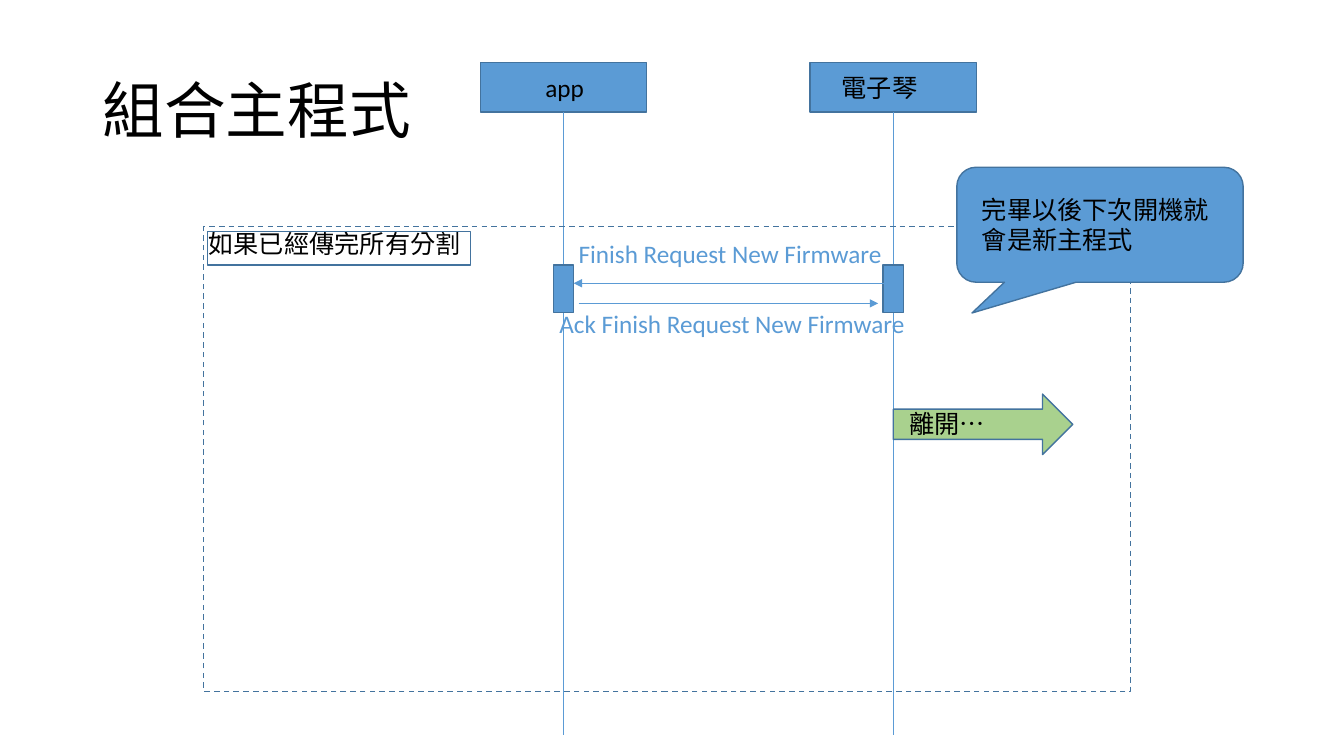
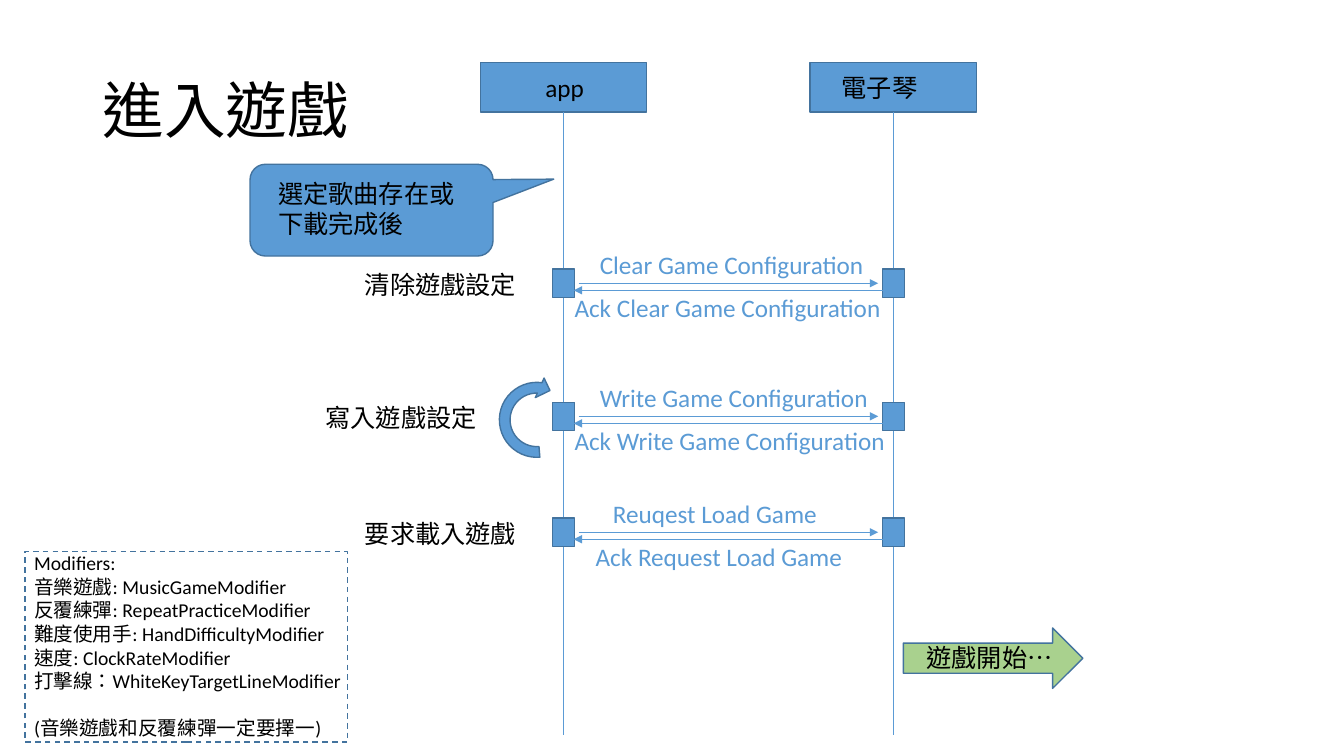
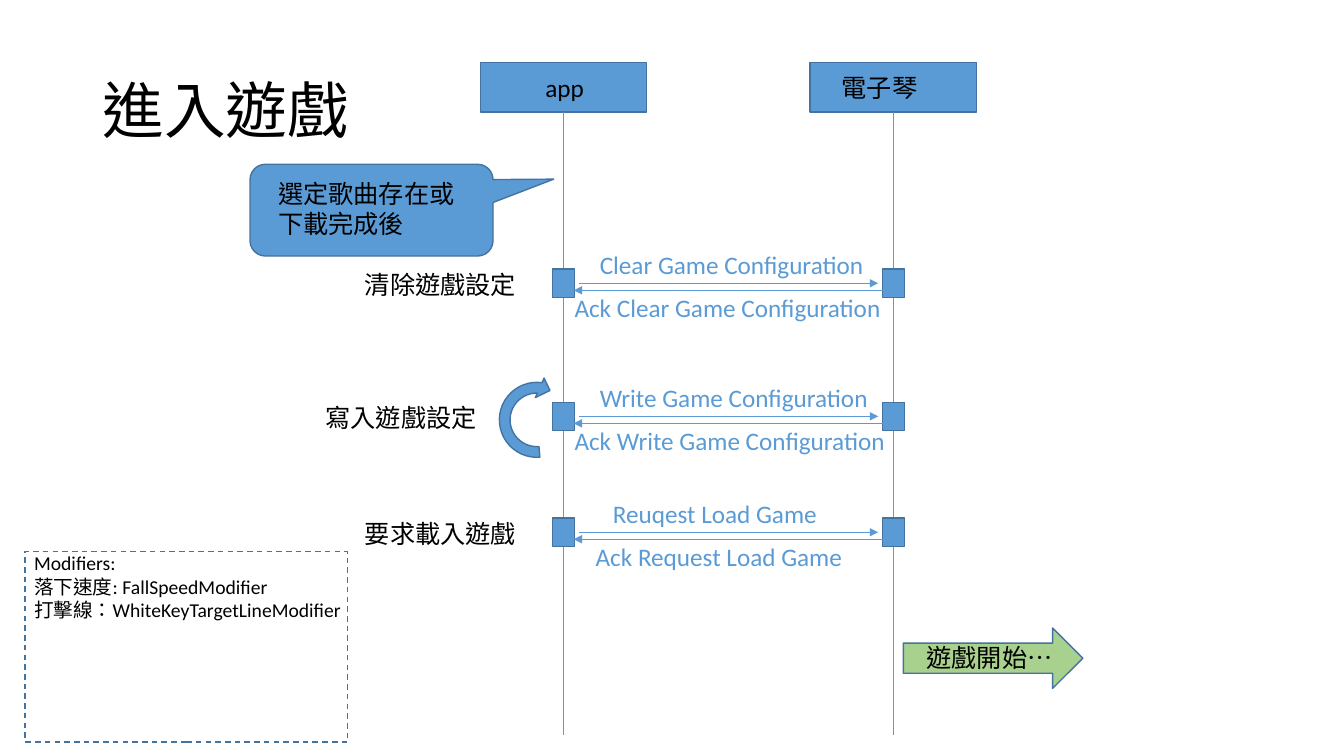
import dataclasses

import pptx
import pptx.dml.color
import pptx.enum.dml
import pptx.enum.lang
import pptx.enum.shapes
import pptx.enum.text
import pptx.oxml
import pptx.oxml.ns
import pptx.util

Inches = pptx.util.Inches
SHAPES = pptx.enum.shapes.MSO_SHAPE


@dataclasses.dataclass(frozen=True)
class Theme:
    # Colours
    blue: str = "5B9BD5"
    outline: str = "43739E"
    green: str = "A9D18E"
    black: str = "000000"
    # Type
    font: str = "Calibri"
    title_size: int = 44
    body_size: int = 18
    note_size: int = 14
    # Lines
    border: float = 1
    thin: float = 0.5


# Centres of the two lifelines, and where they end
APP_X, PIANO_X = 5.59, 8.86
HEAD_TOP, HEAD_WIDTH, HEAD_HEIGHT = 0.62, 1.65, 0.49
LIFELINE_END = 7.29


def rgb(code):
    return pptx.dml.color.RGBColor.from_string(code)


class SequenceDeck:
    def __init__(self, theme):
        self.theme = theme
        self.deck = pptx.Presentation()
        self.deck.slide_width = Inches(13.33)
        self.deck.slide_height = Inches(7.5)
        self.slide = None

    # Basic elements
    def text(self, lines, left, top, width, height=0.4, size=None, color=None):
        """Add a text box with one paragraph for each line."""
        box = self.slide.shapes.add_textbox(
            Inches(left), Inches(top), Inches(width), Inches(height))
        frame = box.text_frame
        frame.word_wrap = True
        frame.auto_size = pptx.enum.text.MSO_AUTO_SIZE.SHAPE_TO_FIT_TEXT
        for index, line in enumerate(lines):
            paragraph = frame.paragraphs[0] if index == 0 else frame.add_paragraph()
            run = paragraph.add_run()
            run.text = line
            run.font.name = self.theme.font
            run.font.size = pptx.util.Pt(size or self.theme.body_size)
            run.font.color.rgb = rgb(color or self.theme.black)
            run.font.language_id = pptx.enum.lang.MSO_LANGUAGE_ID.TRADITIONAL_CHINESE
        return frame

    def shape(self, kind, left, top, width, height, fill=None, dashed=False,
              adjustments=()):
        shape = self.slide.shapes.add_shape(
            kind, Inches(left), Inches(top), Inches(width), Inches(height))
        shape.shadow.inherit = False
        if fill:
            shape.fill.solid()
            shape.fill.fore_color.rgb = rgb(fill)
        else:
            shape.fill.background()
        shape.line.color.rgb = rgb(self.theme.outline)
        shape.line.width = pptx.util.Pt(self.theme.border)
        if dashed:
            shape.line.dash_style = pptx.enum.dml.MSO_LINE.DASH
        for index, value in enumerate(adjustments):
            shape.adjustments[index] = value
        return shape

    def line(self, start, end, arrow=False):
        line = self.slide.shapes.add_connector(
            pptx.enum.shapes.MSO_CONNECTOR.STRAIGHT,
            *(Inches(value) for value in (*start, *end)))
        line.line.color.rgb = rgb(self.theme.blue)
        line.line.width = pptx.util.Pt(self.theme.thin)
        properties = line._element.spPr
        if arrow:
            tail = pptx.oxml.parse_xml(
                f'<a:tailEnd {pptx.oxml.ns.nsdecls("a")} type="triangle"/>')
            properties.find(pptx.oxml.ns.qn("a:ln")).append(tail)
        properties.append(pptx.oxml.parse_xml(
            f'<a:effectLst {pptx.oxml.ns.nsdecls("a")}/>'))
        return line

    # Parts of a sequence diagram
    def start(self, title):
        """Begin a slide with its title, two heads and their lifelines."""
        self.slide = self.deck.slides.add_slide(self.deck.slide_layouts[6])
        heading = self.text([title], 0.92, 0.4, 11.5, 1.45, self.theme.title_size)
        heading.auto_size = pptx.enum.text.MSO_AUTO_SIZE.NONE
        heading.vertical_anchor = pptx.enum.text.MSO_ANCHOR.MIDDLE
        heading.paragraphs[0].line_spacing = 0.9
        for name, center, name_left in (("app", APP_X, 5.31),
                                        ("電子琴", PIANO_X, 8.25)):
            head = self.shape(SHAPES.RECTANGLE, center - HEAD_WIDTH / 2, HEAD_TOP,
                              HEAD_WIDTH, HEAD_HEIGHT, self.theme.blue)
            self.text([name], name_left, HEAD_TOP + 0.05, 0.99)
            lifeline = self.line((center, HEAD_TOP + HEAD_HEIGHT),
                                 (center, LIFELINE_END))
            lifeline.begin_connect(head, 2)

    def activations(self, top, width, height):
        for center in (APP_X, PIANO_X):
            self.shape(SHAPES.RECTANGLE, center - width / 2, top, width, height,
                       self.theme.blue)

    def to_piano(self, y):
        self.line((APP_X + 0.15, y), (PIANO_X - 0.15, y), arrow=True)

    def to_app(self, y):
        self.line((PIANO_X, y), (APP_X + 0.1, y), arrow=True)

    def message(self, words, left, top, width):
        self.text([words], left, top, width, color=self.theme.blue)

    def exchange(self, y, caption, caption_left, request, request_left,
                 reply, reply_left):
        """Add a request from the app and the reply just under it."""
        self.activations(y - 0.14, 0.22, 0.28)
        self.text([caption], caption_left, y - 0.19, 2.2)
        self.to_piano(y)
        self.to_app(y + 0.07)
        self.message(request, request_left, y - 0.39, 2.99)
        self.message(reply, reply_left, y + 0.04, 3.37)

    def callout(self, words, box, pointer, words_box):
        self.shape(SHAPES.ROUNDED_RECTANGULAR_CALLOUT, *box, self.theme.blue,
                   adjustments=(*pointer, 0.167))
        self.text([words], *words_box)

    def way_out(self, words, left, top, indent):
        self.shape(SHAPES.RIGHT_ARROW, left, top, 1.78, 0.6, self.theme.green)
        self.text([words], left + indent, top + 0.09, 2.2)


def finish_firmware(deck):
    deck.start("組合主程式")
    deck.activations(2.63, 0.2, 0.47)
    deck.to_app(2.81)
    deck.to_piano(3.01)
    deck.message("Finish Request New Firmware", 5.64, 2.32, 3.29)
    deck.message("Ack Finish Request New Firmware", 5.45, 3.01, 3.67)

    # Conditional frame
    deck.shape(SHAPES.RECTANGLE, 2.02, 2.25, 9.19, 4.61, dashed=True)
    deck.text(["如果已經傳完所有分割"], 1.97, 2.22, 2.82)
    deck.shape(SHAPES.RECTANGLE, 2.06, 2.3, 2.61, 0.33)

    deck.way_out("離開…", PIANO_X, 3.91, 0.06)
    deck.callout("完畢以後下次開機就會是新主程式", (9.49, 1.66, 2.84, 1.14),
                 (-0.447, 0.768), (9.64, 1.88, 2.63, 0.71))


def enter_game(deck, modifiers, remark=None):
    deck.start("進入遊戲")
    deck.callout("選定歌曲存在或下載完成後", (2.48, 1.63, 2.41, 0.91),
                 (0.75, -0.338), (2.66, 1.72, 2.02, 0.71))

    # Three exchanges, the second one repeated
    deck.exchange(2.81, "清除遊戲設定", 3.52, "Clear Game Configuration", 5.85,
                  "Ack Clear Game Configuration", 5.6)
    deck.exchange(4.13, "寫入遊戲設定", 3.13, "Write Game Configuration", 5.85,
                  "Ack Write Game Configuration", 5.6)
    deck.exchange(5.28, "要求載入遊戲", 3.52, "Reuqest Load Game", 5.98,
                  "Ack Request Load Game", 5.81)
    repeat = deck.shape(SHAPES.CIRCULAR_ARROW, 4.9, 3.74, 0.85, 0.85,
                        deck.theme.blue,
                        adjustments=(0.125, 11.423, 204.577, 90.778, 0.125))
    repeat.rotation = 294.1

    # Modifier list
    deck.shape(SHAPES.RECTANGLE, 0.25, 5.47, 3.2, 1.89, dashed=True)
    lines = ["Modifiers:", *modifiers] + ([remark] if remark else [])
    notes = deck.text(lines, 0.24, 5.42, 3.36, 1.99 if remark else 1.04,
                      deck.theme.note_size)
    if remark:
        notes.paragraphs[-1].space_before = pptx.util.Pt(17)

    deck.way_out("遊戲開始…", 8.96, 6.23, 0.13)


def main():
    deck = SequenceDeck(Theme())
    target_line = "打擊線：WhiteKeyTargetLineModifier"
    finish_firmware(deck)
    enter_game(deck, ["音樂遊戲: MusicGameModifier",
                      "反覆練彈: RepeatPracticeModifier",
                      "難度使用手: HandDifficultyModifier",
                      "速度: ClockRateModifier",
                      target_line],
               "(音樂遊戲和反覆練彈一定要擇一)")
    enter_game(deck, ["落下速度: FallSpeedModifier", target_line])
    deck.deck.save("out.pptx")


if __name__ == "__main__":
    main()
